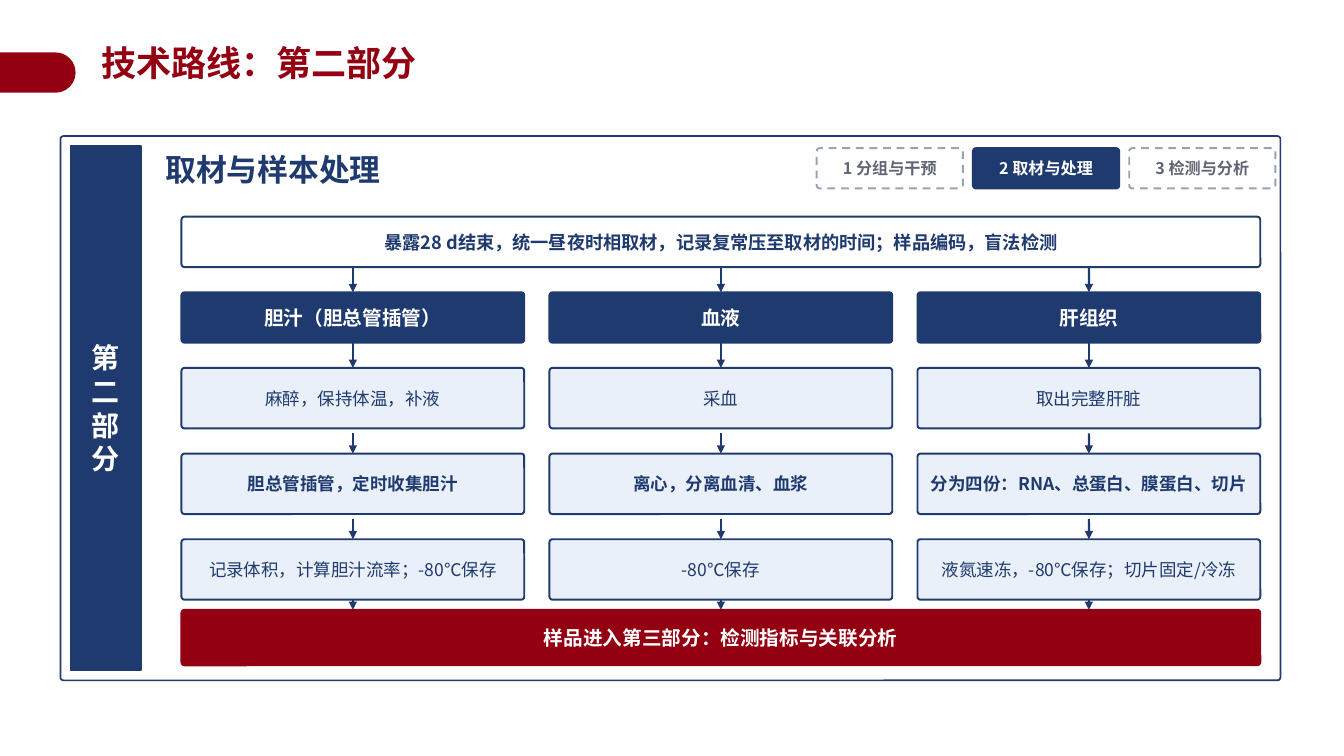
from lxml.etree import SubElement
from pptx import Presentation
from pptx.dml.color import RGBColor
from pptx.enum.dml import MSO_LINE
from pptx.enum.shapes import MSO_CONNECTOR, MSO_SHAPE
from pptx.enum.text import MSO_ANCHOR, PP_ALIGN
from pptx.oxml.ns import qn
from pptx.util import Inches, Pt

NAVY, RED, WHITE, PALE = "1F3A6E", "920011", "FFFFFF", "EAF0FA"
GREY_LINE, GREY_TEXT = "9AA3B2", "5E6673"
FONT = "Noto Sans CJK SC"

deck = Presentation()
deck.slide_width, deck.slide_height = Inches(13.33), Inches(7.5)
slide = deck.slides.add_slide(deck.slide_layouts[6])
rgb = RGBColor.from_string


def add_box(left, top, width, height, text="", size=14, ink=WHITE, fill=None, edge=None,
            bold=True, weight=1.4, kind=MSO_SHAPE.ROUNDED_RECTANGLE, align=PP_ALIGN.CENTER):
    box = slide.shapes.add_shape(kind, Inches(left), Inches(top), Inches(width), Inches(height))
    box.shadow.inherit = False
    if kind == MSO_SHAPE.ROUNDED_RECTANGLE:
        box.adjustments[0] = 0.03 / height
    if fill:
        box.fill.solid()
        box.fill.fore_color.rgb = rgb(fill)
    else:
        box.fill.background()
    if edge:
        box.line.color.rgb = rgb(edge)
        box.line.width = Pt(weight)
    else:
        box.line.fill.background()
    frame = box.text_frame
    frame.word_wrap = align == PP_ALIGN.LEFT
    frame.vertical_anchor = MSO_ANCHOR.MIDDLE
    frame.margin_left = frame.margin_right = Inches(0.04)
    frame.margin_top = frame.margin_bottom = Inches(0.02)
    if text:
        frame.text = text
        for paragraph in frame.paragraphs:
            paragraph.alignment = align
            font = paragraph.font
            font.name, font.size, font.bold = FONT, Pt(size), bold
            font.color.rgb = rgb(ink)
            SubElement(font._rPr, qn("a:ea")).set("typeface", FONT)
    return box


def add_arrow(x, start, end, above=None, below=None):
    arrow = slide.shapes.add_connector(
        MSO_CONNECTOR.STRAIGHT, Inches(x), Inches(start), Inches(x), Inches(end))
    if above:
        arrow.begin_connect(above, 2)
    if below:
        arrow.end_connect(below, 0)
    arrow.line.color.rgb = rgb(NAVY)
    arrow.line.width = Pt(1.6)
    SubElement(arrow.line._get_or_add_ln(), qn("a:tailEnd")).set("type", "triangle")
    SubElement(arrow._element.spPr, qn("a:effectLst"))


title_tab = add_box(0.175, 0.345, 0.4, 0.75, fill=RED, kind=MSO_SHAPE.ROUND_2_SAME_RECTANGLE)
title_tab.adjustments[0] = 0.5
title_tab.rotation = 90
title = add_box(0.91, 0.46, 11.6, 0.53, "技术路线：第二部分", 25, RED,
                kind=MSO_SHAPE.RECTANGLE, align=PP_ALIGN.LEFT)
title.text_frame.vertical_anchor = MSO_ANCHOR.TOP
title.text_frame.margin_left = Inches(0.1)
title.text_frame.margin_top = 0
title.text_frame.paragraphs[0].line_spacing = 0.9

add_box(0.6, 1.35, 12.1, 5.4, edge=NAVY, weight=1.2)
add_box(0.7, 1.45, 0.7, 5.2, "\n".join("第二部分"), 20, fill=NAVY, edge=NAVY, weight=1.2,
        kind=MSO_SHAPE.RECTANGLE)
add_box(1.6, 1.4, 6.6, 0.55, "取材与样本处理", 22, NAVY,
        kind=MSO_SHAPE.RECTANGLE, align=PP_ALIGN.LEFT)

current_stage = 1
for index, stage in enumerate(["1 分组与干预", "2 取材与处理", "3 检测与分析"]):
    active = index == current_stage
    stage_tag = add_box(8.1 + 1.55 * index, 1.47, 1.45, 0.4, stage, 11.5,
                        WHITE if active else GREY_TEXT,
                        NAVY if active else WHITE, NAVY if active else GREY_LINE)
    if not active:
        stage_tag.line.dash_style = MSO_LINE.DASH

LEFT, COLUMN, PITCH = 1.8, 3.4, 3.65
FULL = COLUMN + 2 * PITCH
FIRST_STEP, STEP, STEP_PITCH = 3.65, 0.6, 0.85
sampling = add_box(LEFT, 2.15, FULL, 0.5,
                   "暴露28 d结束，统一昼夜时相取材，记录复常压至取材的时间；样品编码，盲法检测",
                   13, NAVY, WHITE, NAVY)
handover = add_box(LEFT, 6.05, FULL, 0.55, "样品进入第三部分：检测指标与关联分析",
                   fill=RED, edge=RED)

samples = [
    ("胆汁（胆总管插管）",
     ["麻醉，保持体温，补液", "胆总管插管，定时收集胆汁", "记录体积，计算胆汁流率；-80℃保存"]),
    ("血液", ["采血", "离心，分离血清、血浆", "-80℃保存"]),
    ("肝组织",
     ["取出完整肝脏", "分为四份：RNA、总蛋白、膜蛋白、切片", "液氮速冻，-80℃保存；切片固定/冷冻"]),
]
for column, (sample, steps) in enumerate(samples):
    left = LEFT + PITCH * column
    center = left + COLUMN / 2
    central = column == 1
    heading = add_box(left, 2.9, COLUMN, 0.5, sample, fill=NAVY, edge=NAVY)
    add_arrow(center, 2.65, 2.9, sampling if central else None, heading)
    for row, step in enumerate(steps):
        top = FIRST_STEP + STEP_PITCH * row
        step_box = add_box(left, top, COLUMN, STEP, step, 12.5, NAVY, PALE, NAVY, bold=row == 1)
        if row == 0:
            add_arrow(center, 3.4, top, heading, step_box)
        else:
            add_arrow(center, top - 0.2, top, below=step_box)
    add_arrow(center, 5.95, 6.05, step_box, handover if central else None)

deck.save("out.pptx")
